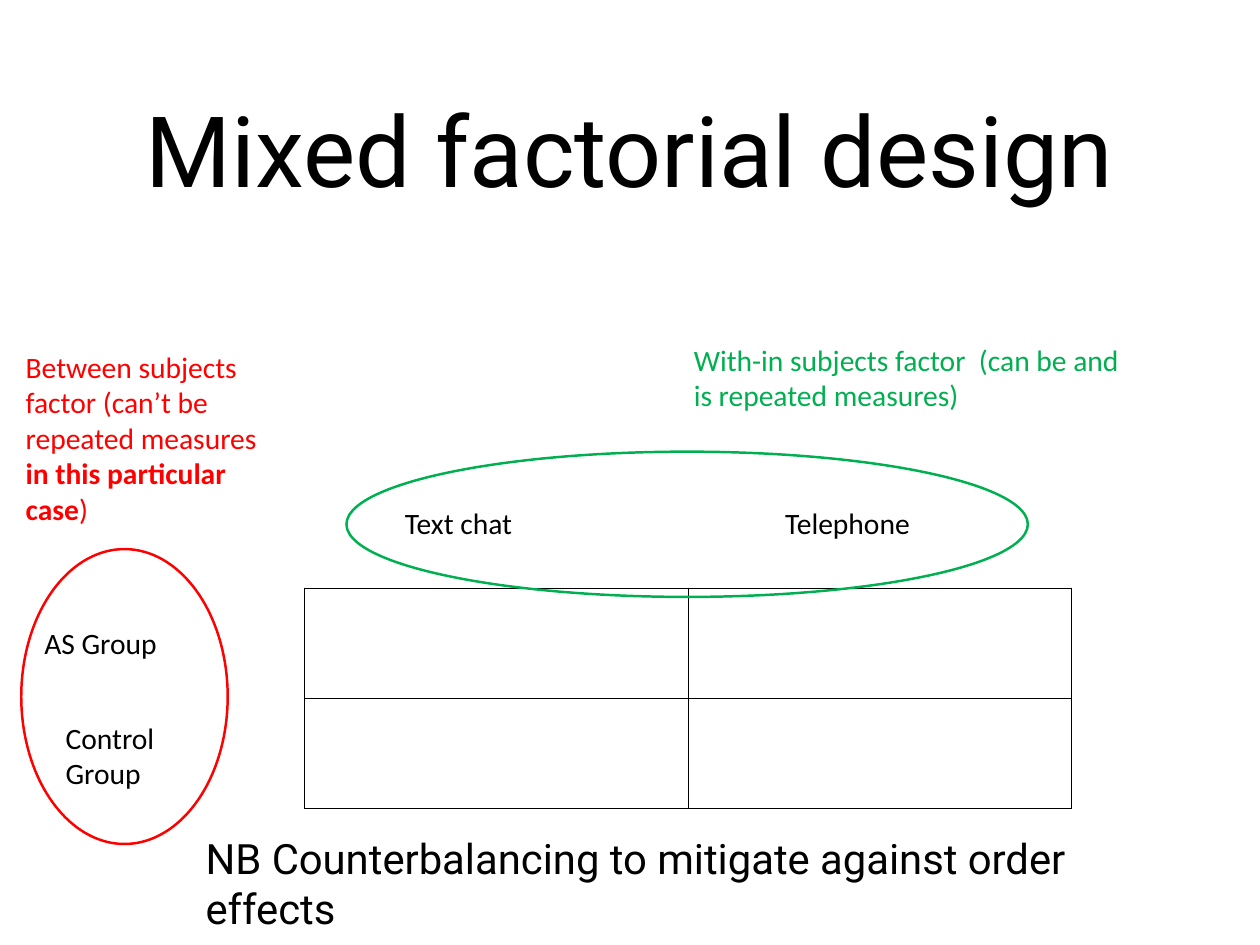
from lxml import etree
from pptx import Presentation
from pptx import util as u
from pptx.dml import color
from pptx.enum import shapes, text
from pptx.oxml import ns

COLORS = {"ink": "000000", "between": "FF0000", "within": "00B050"}


def rgb(name):
    return color.RGBColor.from_string(COLORS[name])


def inches(box):
    return [u.Inches(length) for length in box]


def add_text(page, box, spans, size=24, font="Calibri", tint="ink", inset=0.07):
    shape = page.shapes.add_textbox(*inches(box))
    frame = shape.text_frame
    frame.word_wrap = True
    frame.margin_left = frame.margin_right = u.Inches(inset)
    frame.margin_top = frame.margin_bottom = u.Inches(inset)
    para = frame.paragraphs[0]
    para.font.size = u.Pt(size)
    para.font.name = font
    para.font.color.rgb = rgb(tint)
    for words, bold in spans:
        span = para.add_run()
        span.text = words
        if bold:
            span.font.bold = True
    return frame


def add_title(page, box):
    frame = add_text(page, box, [("Mixed factorial design", False)], 80, "Roboto", inset=0)
    frame.vertical_anchor = text.MSO_ANCHOR.MIDDLE
    frame.paragraphs[0].alignment = text.PP_ALIGN.CENTER


def add_grid(page, box, rows=2, columns=2):
    table = page.shapes.add_table(rows, columns, *inches(box)).table
    table.first_row = table.horz_banding = False
    for cell in table.iter_cells():
        properties = cell._tc.get_or_add_tcPr()
        for side in ("lnL", "lnR", "lnT", "lnB"):
            border = etree.SubElement(properties, ns.qn(f"a:{side}"), w=str(u.Pt(1)))
            fill = etree.SubElement(border, ns.qn("a:solidFill"))
            etree.SubElement(fill, ns.qn("a:srgbClr"), val=COLORS["ink"])
        cell.fill.background()


def add_factor(page, box, tint, levels, caption_box, caption):
    left, top, _, _ = box
    for words, (dx, dy, width, height) in levels:
        add_text(page, (left + dx, top + dy, width, height), [(words, False)])
    ring = page.shapes.add_shape(shapes.MSO_SHAPE.OVAL, *inches(box))
    ring.shadow.inherit = False
    ring.fill.background()
    ring.line.color.rgb = rgb(tint)
    ring.line.width = u.Pt(2)
    dx, dy, width, height = caption_box
    add_text(page, (left + dx, top + dy, width, height), caption, tint=tint)


def add_note(page, box):
    words = "NB Counterbalancing to mitigate against order effects"
    add_text(page, box, [(words, False)], 34, "Roboto")


def main():
    deck = Presentation()
    deck.slide_width, deck.slide_height = u.Inches(14.22), u.Inches(10.67)
    page = deck.slides.add_slide(deck.slide_layouts[6])
    add_title(page, (1.04, 0.49, 12.14, 2.36))
    add_grid(page, (3.44, 6.64, 8.65, 2.49))
    add_factor(
        page, (0.24, 6.2, 2.33, 3.33), "between",
        [("AS Group", (0.19, 0.79, 2.25, 0.54)),
         ("Control Group", (0.43, 1.86, 1.78, 0.95))],
        (-0.02, -2.33, 2.96, 2.16),
        [("Between subjects  factor (can’t be repeated measures ", False),
         ("in this particular case", True), (")", False)])
    add_factor(
        page, (3.91, 5.1, 7.69, 1.64), "within",
        [("Text chat", (0.59, 0.53, 2.49, 0.54)),
         ("Telephone", (4.88, 0.53, 2.25, 0.54))],
        (3.85, -1.31, 5.1, 0.95),
        [("With-in subjects factor  (can be and is repeated measures)", False)])
    add_note(page, (2.25, 9.33, 11.26, 1.28))
    deck.save("out.pptx")


if __name__ == "__main__":
    main()
